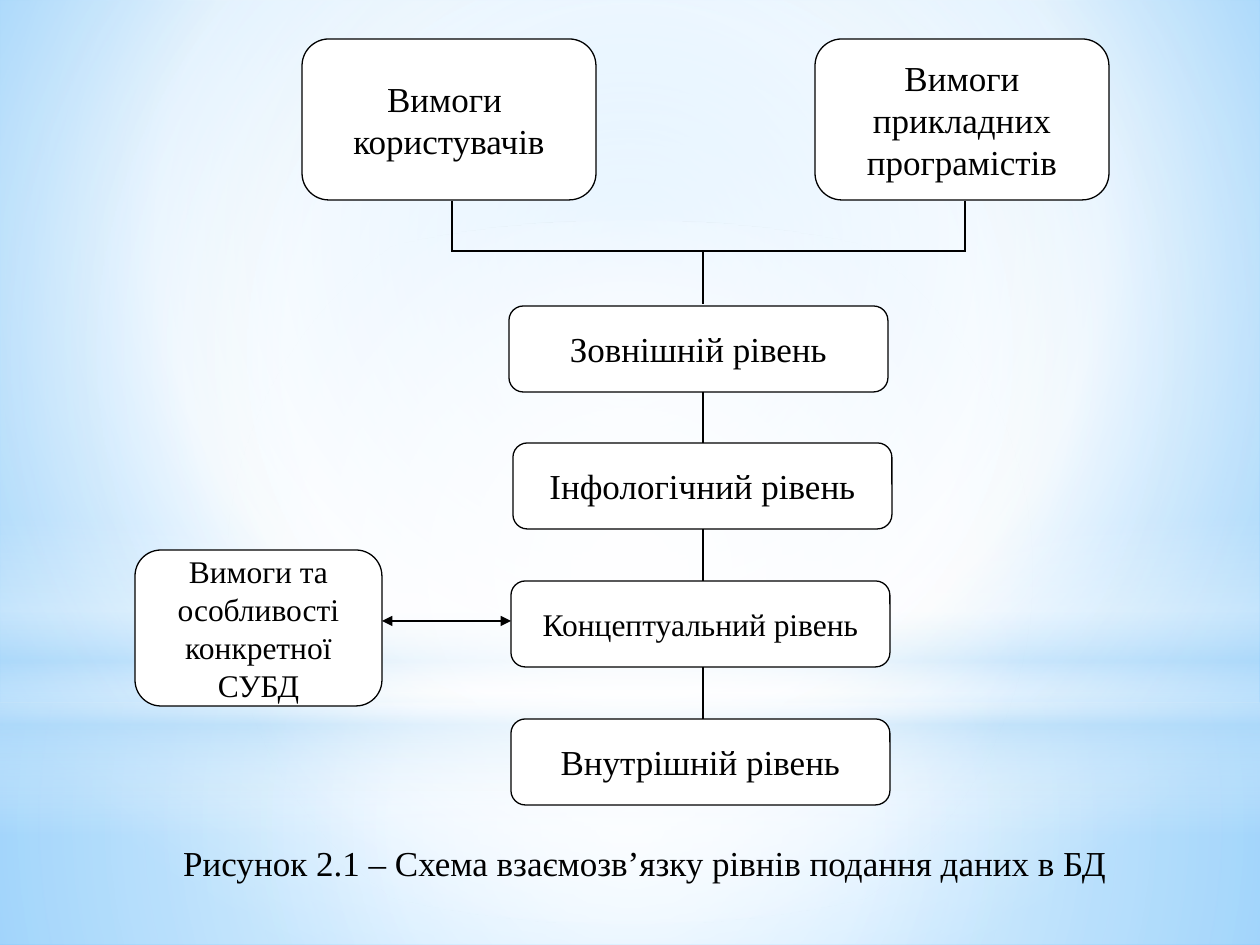
"""Build a slide showing how the levels of database data presentation are linked."""
from lxml.etree import SubElement
from pptx import Presentation
from pptx.dml.color import RGBColor
from pptx.enum.shapes import MSO_CONNECTOR, MSO_SHAPE
from pptx.enum.text import MSO_ANCHOR, MSO_AUTO_SIZE, PP_ALIGN
from pptx.oxml import parse_xml
from pptx.oxml.ns import nsdecls, qn
from pptx.util import Emu, Pt

SCALE = 914400 / 126
FONT = {"name": "Times New Roman", "bold": False}
BLACK, WHITE, SKY = "000000", "FFFFFF", "B4DCFA"

BACKDROP = ([(0, "9ED5FF", 100), (60, WHITE, 100), (100, "5BB9FF", 100)], (20, 10, 20, 60))
CENTRE = (50, 50, 50, 50)
GLOWS = [
    (MSO_SHAPE.RECTANGLE, (0, 703, 1260, 242),
     [(0, WHITE, 91), (37, WHITE, 76), (100, SKY, 79)], CENTRE),
    (MSO_SHAPE.RECTANGLE, (0, 0, 1260, 703),
     [(0, WHITE, 89), (48, WHITE, 62), (100, SKY, 79)], CENTRE),
    (MSO_SHAPE.RECTANGLE, (0, 519, 1260, 315),
     [(0, WHITE, 0), (29, WHITE, 30), (45, SKY, 40), (55, WHITE, 26), (65, SKY, 60),
      (100, WHITE, 0)], None),
    (MSO_SHAPE.OVAL, (0, 221, 1260, 703), [(0, WHITE, 100), (56, WHITE, 0)], CENTRE),
]

REQUIREMENTS = [
    (["Вимоги ", "користувачів"], 20, (302, 39, 294, 161)),
    (["Вимоги прикладних програмістів"], 20, (815, 39, 294, 161)),
    (["Вимоги та особливості конкретної СУБД"], 18, (135, 550, 247, 156)),
]
LEVELS = [
    ("Зовнішній рівень", 20, 509),
    ("Інфологічний рівень", 20, 513),
    ("Концептуальний рівень", 18, 511),
    ("Внутрішній рівень", 20, 511),
]
LEVEL_TOPS = [306 + 413 * place // 3 for place in range(len(LEVELS))]
LEVEL_WIDTH, LEVEL_HEIGHT = 379, 86
CAPTION = "Рисунок 2.1 – Схема взаємозв’язку рівнів подання даних в БД"

AXIS, FORK, FORK_LEFT, FORK_RIGHT = 703, 251, 452, 965
LINKS = [(AXIS, top + LEVEL_HEIGHT, AXIS, below)
         for top, below in zip(LEVEL_TOPS, LEVEL_TOPS[1:])]
LINKS += [(x, 201, x, FORK + 1) for x in (FORK_LEFT, FORK_RIGHT)]
LINKS += [(FORK_LEFT, FORK, FORK_RIGHT, FORK), (AXIS, FORK + 1, AXIS, 304)]
EXCHANGE = (382, 621, 511, 621)


def px(*lengths):
    return [Emu(round(length * SCALE)) for length in lengths]


def rgb(value):
    return RGBColor.from_string(value)


def apply(target, values):
    for name, value in values.items():
        setattr(target, name, value)


def set_gradient(fill, owner, stops, centre):
    fill.solid()
    marks = "".join(
        f'<a:gs pos="{pos * 1000}"><a:srgbClr val="{color}">'
        f'<a:alpha val="{alpha * 1000}"/></a:srgbClr></a:gs>'
        for pos, color, alpha in stops)
    if centre:
        sides = " ".join(f'{side}="{part * 1000}"' for side, part in zip("ltrb", centre))
        course = f'<a:path path="circle"><a:fillToRect {sides}/></a:path>'
    else:
        course = '<a:lin ang="5400000" scaled="0"/>'
    gradient = parse_xml(f'<a:gradFill {nsdecls("a")} rotWithShape="1">'
                         f'<a:gsLst>{marks}</a:gsLst>{course}</a:gradFill>')
    owner.replace(owner.find(qn("a:solidFill")), gradient)


def write(frame, lines, size):
    frame.word_wrap = True
    for place, line in enumerate(lines):
        paragraph = frame.paragraphs[0] if place == 0 else frame.add_paragraph()
        paragraph.alignment = PP_ALIGN.CENTER
        run = paragraph.add_run()
        run.text = line
        apply(run.font, {**FONT, "size": Pt(size)})
        run.font.color.rgb = rgb(BLACK)


def add_box(slide, lines, size, area):
    box = slide.shapes.add_shape(MSO_SHAPE.ROUNDED_RECTANGLE, *px(*area))
    box.shadow.inherit = False
    box.fill.solid()
    box.fill.fore_color.rgb = rgb(WHITE)
    box.line.color.rgb = rgb(BLACK)
    box.line.width = Pt(0.75)
    box.text_frame.vertical_anchor = MSO_ANCHOR.MIDDLE
    write(box.text_frame, lines, size)


def add_link(slide, ends, arrows=()):
    link = slide.shapes.add_connector(MSO_CONNECTOR.STRAIGHT, *px(*ends))
    link.line.color.rgb = rgb(BLACK)
    link.line.width = Pt(1.5)
    outline = link.line._get_or_add_ln()
    for arrow in arrows:
        SubElement(outline, qn(arrow), type="triangle")
    SubElement(link._element.spPr, qn("a:effectLst"))


deck = Presentation()
apply(deck, dict(zip(("slide_width", "slide_height"), px(1260, 945))))
slide = deck.slides.add_slide(deck.slide_layouts[6])

backdrop = slide.background.fill
backdrop.solid()
set_gradient(backdrop, slide.element.find(".//" + qn("p:bgPr")), *BACKDROP)
for outline, area, stops, centre in GLOWS:
    glow = slide.shapes.add_shape(outline, *px(*area))
    glow.shadow.inherit = False
    set_gradient(glow.fill, glow._element.spPr, stops, centre)
    glow.line.fill.background()

for lines, size, area in REQUIREMENTS:
    add_box(slide, lines, size, area)
for (level, size, left), top in zip(LEVELS, LEVEL_TOPS):
    add_box(slide, [level], size, (left, top, LEVEL_WIDTH, LEVEL_HEIGHT))
for ends in LINKS:
    add_link(slide, ends)
add_link(slide, EXCHANGE, ("a:headEnd", "a:tailEnd"))

caption = slide.shapes.add_textbox(*px(74, 835, 1142, 55)).text_frame
write(caption, [CAPTION], 20)
caption.auto_size = MSO_AUTO_SIZE.SHAPE_TO_FIT_TEXT

deck.save("out.pptx")
